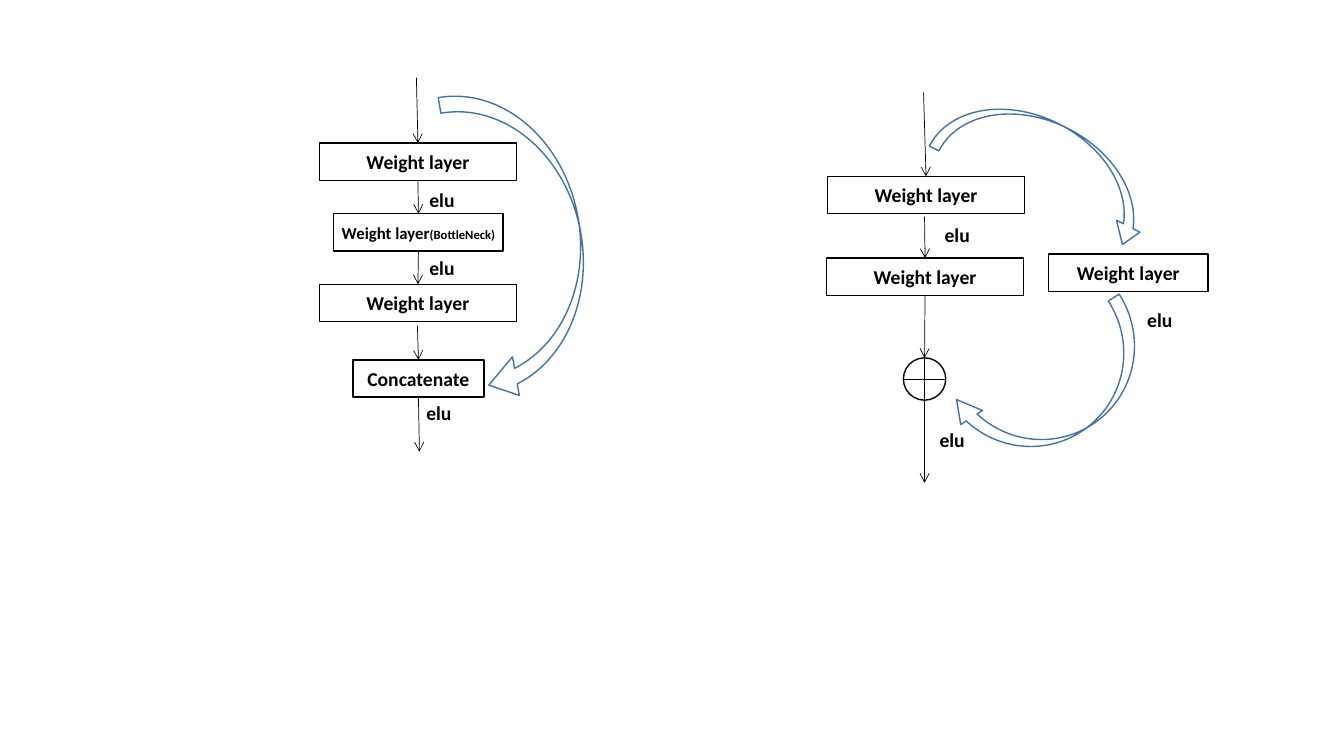
from lxml.etree import SubElement
from pptx import Presentation
from pptx.dml.color import RGBColor
from pptx.enum.shapes import MSO_CONNECTOR as Connector, MSO_SHAPE as Preset
from pptx.enum.text import MSO_ANCHOR as Anchor, PP_ALIGN as Align
from pptx.oxml.ns import qn
from pptx.util import Inches, Pt

COLORS = {"ink": "000000", "curve": "43739E"}
TOP, BOTTOM = 0, 2

presentation = Presentation()
presentation.slide_width = Inches(13.33)
presentation.slide_height = Inches(7.5)
slide = presentation.slides.add_slide(presentation.slide_layouts[6])


def add_outline(preset, left, top, width, height, color="ink"):
    shape = slide.shapes.add_shape(
        preset, Inches(left), Inches(top), Inches(width), Inches(height))
    shape.shadow.inherit = False
    shape.fill.background()
    shape.line.color.rgb = RGBColor.from_string(COLORS[color])
    shape.line.width = Pt(1)
    return shape


def write_runs(paragraph, runs):
    for text, size in runs:
        run = paragraph.add_run()
        run.text = text
        run.font.color.rgb = RGBColor.from_string(COLORS["ink"])
        font_format = {"name": "Calibri", "size": Pt(size), "bold": True}
        for attribute, value in font_format.items():
            setattr(run.font, attribute, value)


weight_layer = [("Weight layer", 14)]
layers = {
    "left first": (3.17, 1.42, 1.95, weight_layer),
    "bottleneck": (3.31, 2.12, 1.68, [("Weight layer", 12), ("(BottleNeck)", 9)]),
    "left last": (3.17, 2.82, 1.95, weight_layer),
    "concatenate": (3.5, 3.57, 1.3, [("Concatenate", 14)]),
    "right first": (8.21, 1.75, 1.95, weight_layer),
    "right last": (8.2, 2.56, 1.95, weight_layer),
    "shortcut": (10.4, 2.52, 1.58, weight_layer),
}
nodes = {}
for name, (left, top, width, runs) in layers.items():
    shape = add_outline(Preset.RECTANGLE, left, top, width, 0.37)
    frame_format = {
        "margin_left": 0, "margin_right": 0, "margin_top": 0, "margin_bottom": 0,
        "vertical_anchor": Anchor.MIDDLE, "word_wrap": False,
    }
    for attribute, value in frame_format.items():
        setattr(shape.text_frame, attribute, value)
    paragraph = shape.text_frame.paragraphs[0]
    paragraph.alignment = Align.CENTER
    write_runs(paragraph, runs)
    nodes[name] = shape

nodes["sum"] = add_outline(Preset.OVAL, 8.96, 3.55, 0.42, 0.42)

links = [
    ((4.13, 0.77), (4.14, 1.42), None, "left first", True),
    ((4.14, 1.79), (4.15, 2.12), "left first", "bottleneck", True),
    ((4.15, 2.49), (4.15, 2.82), "bottleneck", "left last", True),
    ((4.14, 3.23), (4.15, 3.57), None, "concatenate", True),
    ((4.15, 3.94), (4.16, 4.48), "concatenate", None, True),
    ((9.16, 0.92), (9.18, 1.75), None, "right first", True),
    ((9.17, 2.15), (9.17, 2.56), None, "right last", True),
    ((9.17, 2.93), (9.17, 3.55), "right last", "sum", True),
    ((9.17, 3.97), (9.17, 4.79), None, None, True),
    ((8.96, 3.76), (9.38, 3.76), None, None, False),
    ((9.17, 3.97), (9.17, 3.55), None, None, False),
]
for start, end, source, target, has_arrow in links:
    connector = slide.shapes.add_connector(
        Connector.STRAIGHT, *(Inches(value) for value in start + end))
    if source:
        connector.begin_connect(nodes[source], BOTTOM)
    if target:
        connector.end_connect(nodes[target], TOP)
    connector.line.color.rgb = RGBColor.from_string(COLORS["ink"])
    connector.line.width = Pt(0.5)
    if has_arrow:
        SubElement(connector.line._get_or_add_ln(), qn("a:tailEnd"), type="arrow")
    SubElement(connector._element.spPr, qn("a:effectLst"))

activations = [(4.16, 1.82), (4.16, 2.49), (4.13, 3.93),
               (9.27, 2.16), (9.22, 4.2), (11.28, 3.01)]
for left, top in activations:
    label = slide.shapes.add_textbox(
        Inches(left), Inches(top), Inches(0.52), Inches(0.34))
    label.text_frame.word_wrap = True
    write_runs(label.text_frame.paragraphs[0], [("elu", 14)])

skip_arrows = [
    (3.64, 1.81, 3.09, 1.16, 80, (0.135, 0.335, 0.241)),
    (9.27, 1.23, 2.28, 0.78, 27, (0.135, 0.335, 0.241)),
    (9.47, 3.4, 2.05, 0.94, 147, (0.135, 0.273, 0.245)),
]
for left, top, width, height, rotation, adjustments in skip_arrows:
    arrow = add_outline(Preset.CURVED_DOWN_ARROW, left, top, width, height, "curve")
    arrow.rotation = rotation
    for index, value in enumerate(adjustments):
        arrow.adjustments[index] = value

presentation.save("out.pptx")
